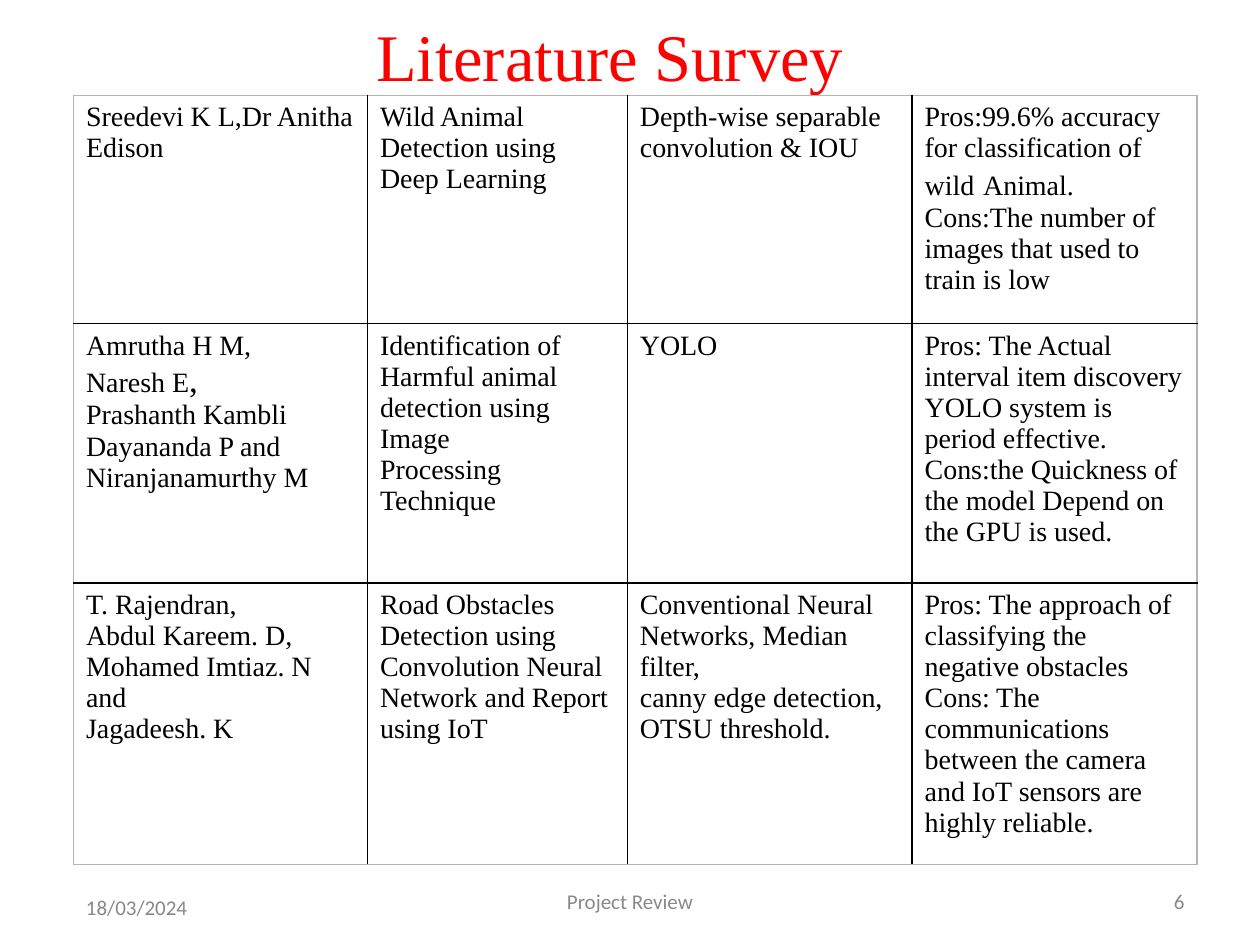
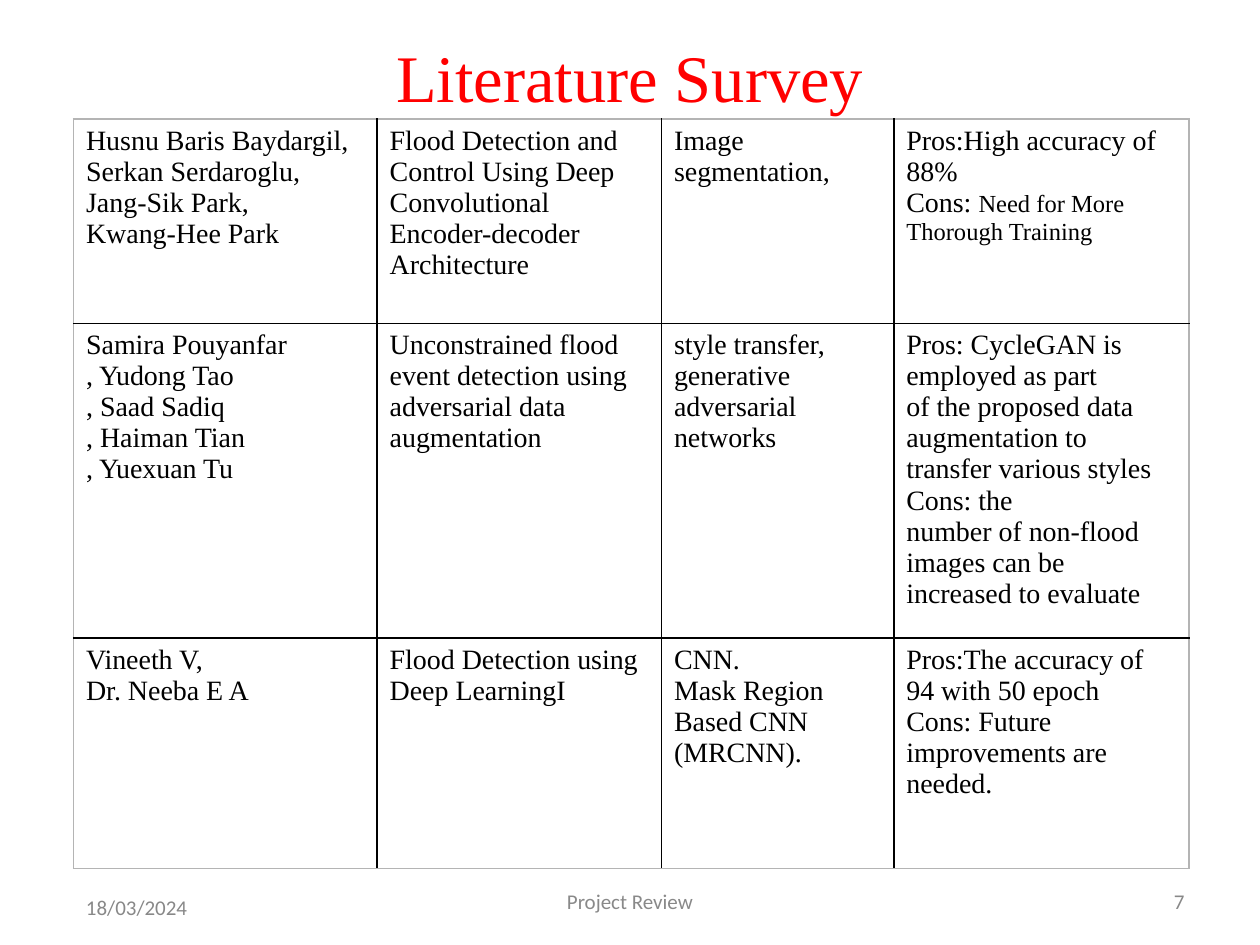
from lxml.etree import SubElement
from pptx import Presentation
from pptx.dml.color import RGBColor
from pptx.enum.text import MSO_ANCHOR, PP_ALIGN
from pptx.oxml.ns import qn
from pptx.util import Pt

BLACK = RGBColor(0x00, 0x00, 0x00)
RED = RGBColor(0xFF, 0x00, 0x00)
GREY = RGBColor(0x88, 0x88, 0x88)
FOOTER_GREY = RGBColor(0x89, 0x89, 0x89)
EDGE_GREY = RGBColor(0xB4, 0xB4, 0xB4)
SERIF, SANS = "Times New Roman", "Calibri"
BODY_SIZE = 16

# Content: a cell is a list of paragraphs; a paragraph is a string,
# or a list of (text, size) runs where sizes differ
TITLE = "Literature Survey"
DATE = "18/03/2024"
FOOTER = "Project Review"

SURVEYS = [
    dict(
        number=6, title_at=(24.5, 0), table_top=54.5,
        cols=[168, 148.5, 162.75, 162.75], rows=[130.5, 148.25, 157.75],
        cells=[
            [["Sreedevi K L,Dr Anitha Edison"],
             ["Wild Animal Detection using Deep Learning"],
             ["Depth-wise separable convolution & IOU"],
             [[("Pros:99.6% accuracy for classification of wild", 16),
               (" ", 20), ("Animal.", 16)],
              "Cons:The number of images that used to train is low"]],
            [["Amrutha H M,",
              [("Naresh E", 16), (",", 20)],
              "Prashanth Kambli",
              "Dayananda P and Niranjanamurthy M"],
             ["Identification of Harmful animal detection using Image",
              "Processing Technique"],
             ["YOLO"],
             ["Pros: The Actual interval item discovery YOLO system is",
              "period effective.",
              "Cons:the Quickness of the model Depend on the GPU is used."]],
            [["T. Rajendran,", "Abdul Kareem. D,",
              "Mohamed Imtiaz. N and", "Jagadeesh. K"],
             ["Road Obstacles Detection using Convolution Neural",
              "Network and Report using IoT"],
             ["Conventional Neural Networks, Median filter,",
              "canny edge detection, OTSU threshold."],
             ["Pros: The approach of classifying the negative obstacles "
              "Cons: The communications between the camera and IoT sensors "
              "are highly reliable."]],
        ],
    ),
    dict(
        number=7, title_at=(36, 12.25), table_top=68,
        cols=[173.5, 162.5, 132.75, 168.75], rows=[116.75, 172, 131.75],
        cells=[
            [["Husnu Baris Baydargil,", "Serkan Serdaroglu,",
              "Jang-Sik Park,", "Kwang-Hee Park"],
             ["Flood Detection and Control Using Deep",
              "Convolutional Encoder-decoder Architecture"],
             ["Image segmentation,"],
             ["Pros:High accuracy of 88%",
              [("Cons: ", 16), ("Need for More Thorough Training", 14)]]],
            [["Samira Pouyanfar", ", Yudong Tao", ", Saad Sadiq",
              ", Haiman Tian", ", Yuexuan Tu"],
             ["Unconstrained flood event detection using adversarial data "
              "augmentation"],
             ["style transfer, generative adversarial networks"],
             ["Pros: CycleGAN is employed as part",
              "of the proposed data augmentation to transfer various styles",
              "Cons: the",
              "number of non-flood images can be increased to evaluate"]],
            [["Vineeth V,", "Dr. Neeba E A"],
             ["Flood Detection using Deep LearningI"],
             ["CNN.", "Mask Region Based CNN (MRCNN)."],
             ["Pros:The accuracy of 94 with 50 epoch",
              "Cons: Future improvements are needed."]],
        ],
    ),
]

TABLE_LEFT = 42
FOOTER_TOP, FOOTER_HEIGHT = 500.5, 28.75


def style(p, size, font, color, align=PP_ALIGN.LEFT):
    p.alignment = align
    p.font.size = Pt(size)
    p.font.name = font
    p.font.color.rgb = color


def add_label(s, text, box, size, font, color, align):
    tf = s.shapes.add_textbox(*map(Pt, box)).text_frame
    tf.word_wrap = True
    tf.vertical_anchor = MSO_ANCHOR.MIDDLE
    p = tf.paragraphs[0]
    p.text = text
    style(p, size, font, color, align)


def set_border(cell, side, color):
    ln = SubElement(cell._tc.get_or_add_tcPr(), qn(f"a:ln{side}"),
                    w=str(Pt(1)))
    fill = SubElement(ln, qn("a:solidFill"))
    SubElement(fill, qn("a:srgbClr"), val=str(color))


def fill_cell(cell, paragraphs):
    tf = cell.text_frame
    for i, content in enumerate(paragraphs):
        p = tf.add_paragraph() if i else tf.paragraphs[0]
        style(p, BODY_SIZE, SERIF, BLACK)
        runs = [(content, BODY_SIZE)] if isinstance(content, str) else content
        # Row heights follow the run sizes, so each run carries its own
        for text, size in runs:
            r = p.add_run()
            r.text = text
            r.font.size = Pt(size)


def add_survey_table(s, top, cols, rows, cells):
    table = s.shapes.add_table(len(rows), len(cols), Pt(TABLE_LEFT), Pt(top),
                               Pt(sum(cols)), Pt(sum(rows))).table
    table.first_row = table.horz_banding = False
    for column, width in zip(table.columns, cols):
        column.width = Pt(width)
    for row, height in zip(table.rows, rows):
        row.height = Pt(height)
    for i, row in enumerate(cells):
        for j, paragraphs in enumerate(row):
            cell = table.cell(i, j)
            fill_cell(cell, paragraphs)
            # Grey round the outside, black between cells
            outer = {"L": j == 0, "R": j == len(cols) - 1,
                     "T": i == 0, "B": i == len(rows) - 1}
            for side, is_outer in outer.items():
                set_border(cell, side, EDGE_GREY if is_outer else BLACK)
            cell.fill.background()


def add_survey_slide(prs, survey):
    s = prs.slides.add_slide(prs.slide_layouts[6])
    # Title
    add_label(s, TITLE, (*survey["title_at"], 648, 62.5),
              38, SERIF, RED, PP_ALIGN.CENTER)
    # Survey table
    add_survey_table(s, survey["table_top"], survey["cols"],
                     survey["rows"], survey["cells"])
    # Date, footer and slide number
    for text, left, top, width, color, align in [
        (DATE, TABLE_LEFT, 504, 168, GREY, PP_ALIGN.LEFT),
        (FOOTER, 246, FOOTER_TOP, 228, FOOTER_GREY, PP_ALIGN.CENTER),
        (str(survey["number"]), 516, FOOTER_TOP, 168, GREY, PP_ALIGN.RIGHT),
    ]:
        add_label(s, text, (left, top, width, FOOTER_HEIGHT),
                  12, SANS, color, align)


def main():
    prs = Presentation()
    prs.slide_width, prs.slide_height = Pt(720), Pt(540)
    for survey in SURVEYS:
        add_survey_slide(prs, survey)
    prs.save("out.pptx")


if __name__ == "__main__":
    main()
